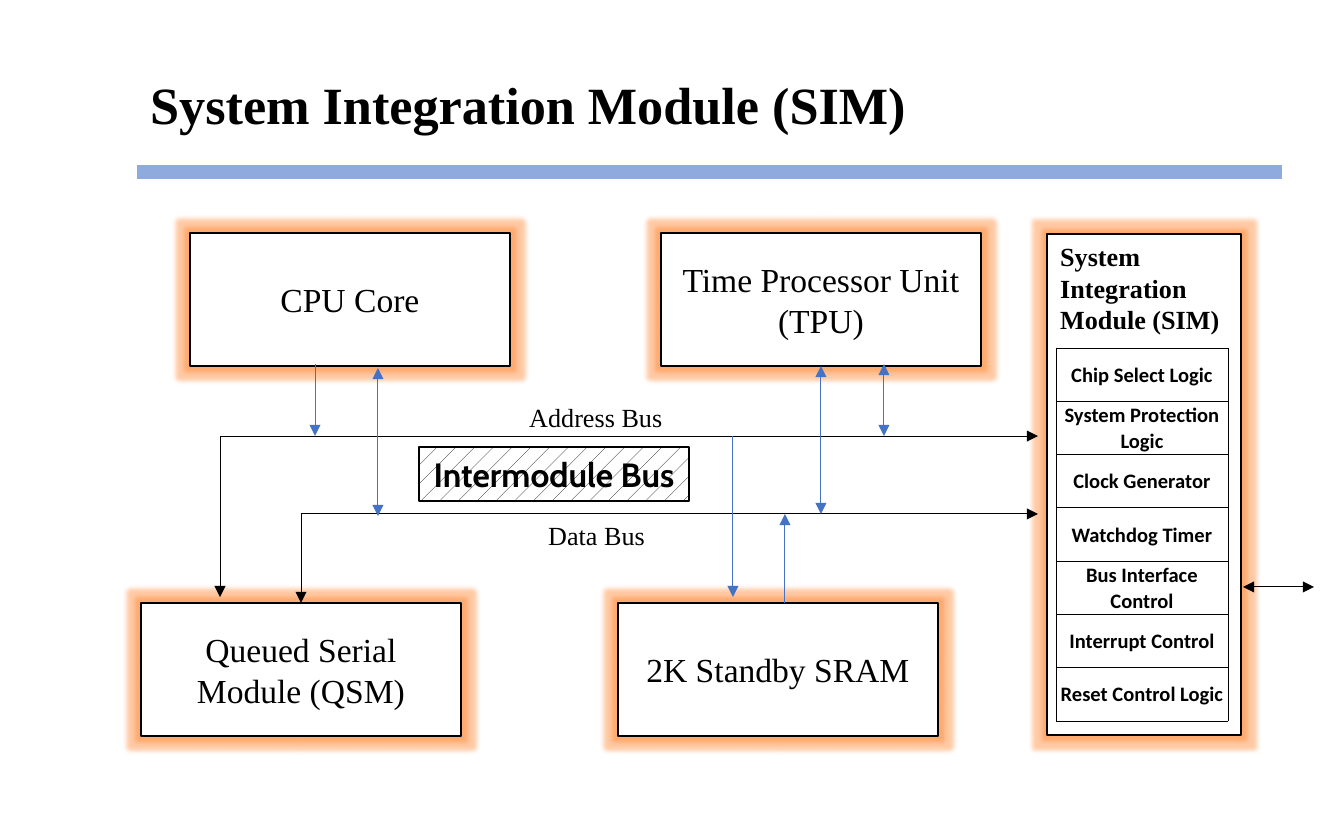
from lxml import etree
from pptx import Presentation
from pptx.dml.color import RGBColor
from pptx.enum.dml import MSO_PATTERN
from pptx.enum.shapes import MSO_CONNECTOR as Link, MSO_SHAPE as Form
from pptx.enum.text import MSO_ANCHOR as Anchor, PP_ALIGN as Align
from pptx.oxml import parse_xml
from pptx.oxml.ns import nsdecls, qn
from pptx.util import Pt

PX = 914400 / 134.4
WIDE, HIGH = 1344, 840
BLACK, WHITE, BLUE, PALE, GLOW = "000000", "FFFFFF", "4472C4", "8FAADC", "FF7C20"
SERIF = "Times New Roman"

# Content: places are left, top, width, height in px
BIG = {"size": Pt(28), "bold": True, "name": SERIF}
MID = {"size": Pt(18), "bold": False, "name": SERIF}
LABEL = {"size": Pt(14), "bold": False, "name": SERIF}
HEAD = {"size": Pt(14), "bold": True, "name": SERIF}
BUS = {"size": Pt(18), "bold": True, "name": "Cabin"}
CELL = {"size": Pt(11), "bold": True, "name": "Calibri"}

NOTES = [
    ("System Integration Module (SIM)", (137, 66, 792, 77), BIG),
    ("Address Bus", (516, 395, 161, 46), LABEL),
    ("Data Bus", (535, 513, 125, 46), LABEL),
]
SIM = ("System Integration Module (SIM)", (1047, 234, 194, 501))
TOP, LOW, BOX = 233, 603, (320, 133)
UNITS = [
    ("CPU Core", 190, TOP),
    ("Time Processor Unit (TPU)", 661, TOP),
    ("Queued Serial Module (QSM)", 141, LOW),
    ("2K Standby SRAM", 618, LOW),
]
ADDR, DATA, EDGE = 436, 514, 1038
BUSES = [(301, DATA, LOW), (220, ADDR, 597)]  # x of the drop, top, bottom
DROPS = [  # x, from, to, both heads
    (315, 364, ADDR, False),
    (378, 368, 516, True),
    (733, ADDR, 597, False),
    (785, LOW, DATA, False),
    (821, 366, DATA, True),
    (884, 364, ADDR, True),
]
PARTS = [
    "Chip Select Logic", "System Protection Logic", "Clock Generator",
    "Watchdog Timer", "Bus Interface Control", "Interrupt Control",
    "Reset Control Logic",
]
GRID = (1056, 348, 172, 373)


def emu(*vals):
    return [round(v * PX) for v in vals]


def rgb(code):
    return RGBColor.from_string(code)


def put(frame, text, font, align=Align.LEFT):
    para = frame.paragraphs[0]
    para.alignment = align
    run = para.add_run()
    run.text = text
    for key, val in font.items():
        setattr(run.font, key, val)
    run.font.color.rgb = rgb(BLACK)


def note(text, place, font):
    box = slide.shapes.add_textbox(*emu(*place))
    box.text_frame.word_wrap = False
    put(box.text_frame, text, font)


def rect(text, place, font, width=1, align=Align.CENTER, anchor=Anchor.MIDDLE):
    shape = slide.shapes.add_shape(Form.RECTANGLE, *emu(*place))
    shape.shadow.inherit = False
    shape.fill.solid()
    shape.fill.fore_color.rgb = rgb(WHITE)
    shape.line.color.rgb = rgb(BLACK)
    shape.line.width = Pt(width)
    shape.text_frame.word_wrap = True
    shape.text_frame.vertical_anchor = anchor
    put(shape.text_frame, text, font, align)
    return shape


def glow(shape):
    fx = shape._element.spPr.find(qn("a:effectLst"))
    fx.append(parse_xml(
        f'<a:glow {nsdecls("a")} rad="63500"><a:srgbClr val="{GLOW}">'
        '<a:alpha val="40000"/></a:srgbClr></a:glow>'))


def wire(ends, color, width=0.5, heads=(), kind=Link.STRAIGHT):
    line = slide.shapes.add_connector(kind, *emu(*ends))
    line.line.color.rgb = rgb(color)
    line.line.width = Pt(width)
    ln = line.line._get_or_add_ln()
    for tag in heads:
        etree.SubElement(ln, qn(f"a:{tag}"), type="triangle")
    etree.SubElement(line._element.spPr, qn("a:effectLst"))
    return line


def edge(cell):
    props = cell._tc.get_or_add_tcPr()
    for i, side in enumerate("LRTB"):
        props.insert(i, parse_xml(
            f'<a:ln{side} {nsdecls("a")} w="6350"><a:solidFill>'
            f'<a:srgbClr val="{BLACK}"/></a:solidFill></a:ln{side}>'))


BOTH, ONE = ("headEnd", "tailEnd"), ("tailEnd",)
deck = Presentation()
deck.slide_width, deck.slide_height = emu(WIDE, HIGH)
slide = deck.slides.add_slide(deck.slide_layouts[6])

# Title rule and text labels
for item in NOTES:
    note(*item)
wire((137, 172, 1282, 172), PALE, 7.25)

# Glowing module boxes
glow(rect(*SIM, HEAD, align=Align.LEFT, anchor=Anchor.TOP))
for text, x, y in UNITS:
    glow(rect(text, (x, y, *BOX), MID))

# Buses: run left from the SIM, then turn down
for x, top, low in BUSES:
    bus = wire((x, low, EDGE, top), BLACK, heads=BOTH, kind=Link.ELBOW)
    props = bus._element.spPr
    props.find(qn("a:xfrm")).set("rot", "10800000")
    props.find(qn("a:prstGeom")).set("prst", "bentConnector2")

# Links between modules and buses
for x, start, end, both in DROPS:
    wire((x, start, x, end), BLUE, heads=BOTH if both else ONE)
wire((1243, 587, 1314, 587), BLACK, heads=BOTH)

# Bus name on a hatched plate
plate = rect("Intermodule Bus", (419, 447, 270, 54), BUS, 0.75)
plate.fill.patterned()
plate.fill.pattern = MSO_PATTERN.PERCENT_5
plate.fill.fore_color.rgb = rgb(BLACK)
plate.fill.back_color.rgb = rgb(WHITE)

# SIM parts
table = slide.shapes.add_table(len(PARTS), 1, *emu(*GRID)).table
table.first_row = table.horz_banding = False
PAD = {"margin_left": 1, "margin_right": 1, "margin_top": 1, "margin_bottom": 0}
for row, text in enumerate(PARTS):
    cell = table.cell(row, 0)
    for key, val in PAD.items():
        setattr(cell, key, round(val * PX))
    cell.vertical_anchor = Anchor.MIDDLE
    cell.fill.solid()
    cell.fill.fore_color.rgb = rgb(WHITE)
    edge(cell)
    put(cell.text_frame, text, CELL, Align.CENTER)

deck.save("out.pptx")
